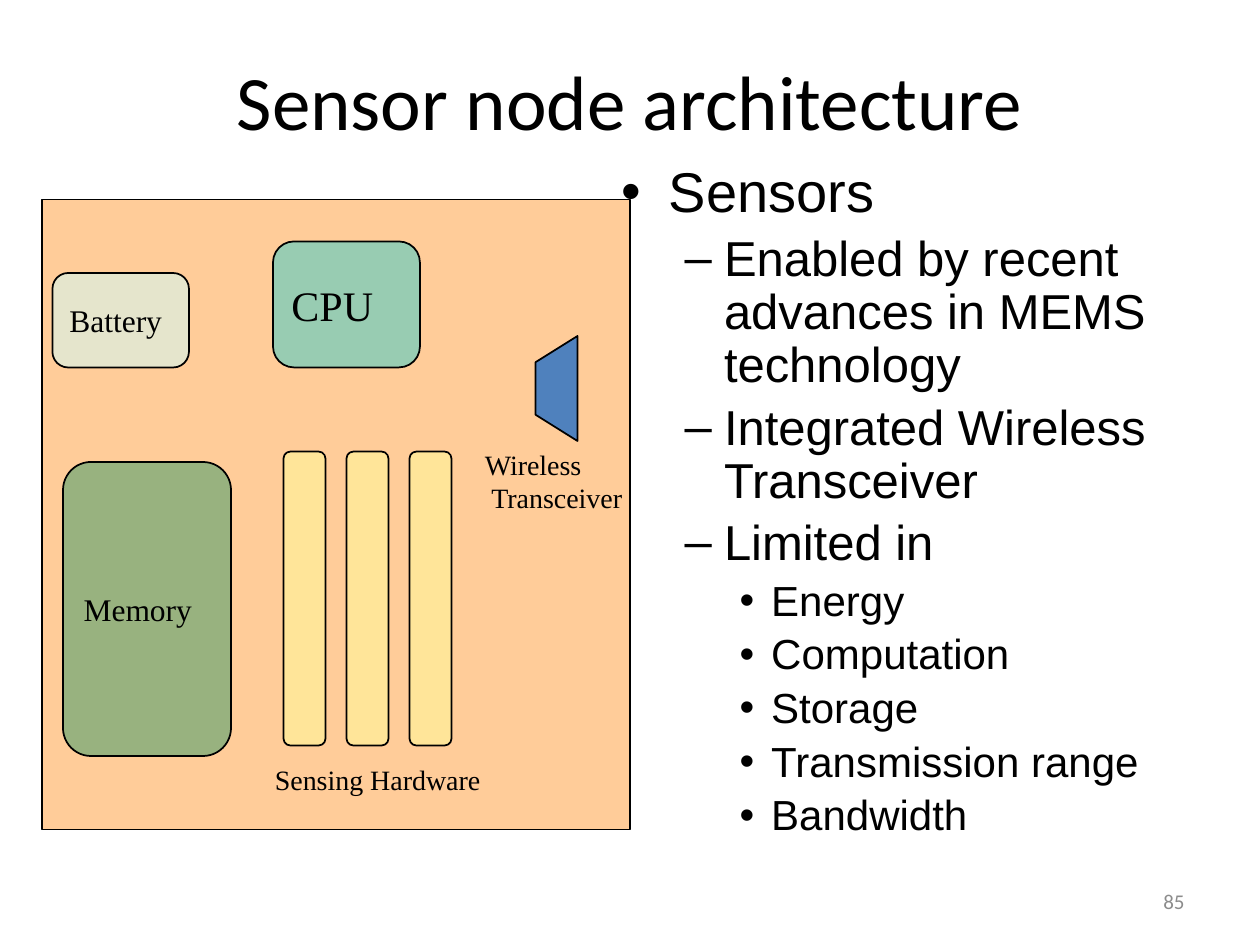
from lxml.etree import SubElement
from pptx import Presentation
from pptx.dml.color import RGBColor
from pptx.enum.shapes import MSO_SHAPE as Preset
from pptx.enum.text import MSO_ANCHOR as Anchor, MSO_AUTO_SIZE as AutoSize, PP_ALIGN as Align
from pptx.oxml.ns import qn
from pptx.util import Pt

COLORS = {
    "text": "000000", "line": "000000", "muted": "8C8C8C",
    "board": "FFCC99", "battery": "CCFFFF", "memory": "339966",
    "cpu": "33CCCC", "sensor": "FFFF99", "transceiver": "4F81BD",
}
# Left margin, hanging indent and text size of each list level, in points
LEVELS = [(27, -27, 32), (58.5, -22.5, 28), (85.5, -18, 24)]
BULLETS = [
    (0, "Sensors"),
    (1, "Enabled by recent advances in MEMS technology"),
    (1, "Integrated Wireless Transceiver"),
    (1, "Limited in"),
    (2, "Energy"),
    (2, "Computation"),
    (2, "Storage"),
    (2, "Transmission range"),
    (2, "Bandwidth"),
]


def rgb(name):
    return RGBColor.from_string(COLORS[name])


def write(paragraph, text, size=16, font="Times New Roman", color="text", align=Align.LEFT):
    paragraph.alignment = align
    run = paragraph.add_run()
    run.text = text
    run.font.size = Pt(size)
    run.font.name = font
    run.font.color.rgb = rgb(color)


class NodeSlide:
    def __init__(self, presentation):
        self.slide = presentation.slides.add_slide(presentation.slide_layouts[1])
        self.shapes = self.slide.shapes

    def place(self, shape, box):
        shape.left, shape.top, shape.width, shape.height = map(Pt, box)

    def title(self, text, box):
        shape = self.shapes.title
        self.place(shape, box)
        shape.text_frame.vertical_anchor = Anchor.MIDDLE
        write(shape.text_frame.paragraphs[0], text, size=44, font="Calibri", align=Align.CENTER)

    def bullets(self, items, box):
        shape = self.slide.placeholders[1]
        self.place(shape, box)
        frame = shape.text_frame
        frame.auto_size = AutoSize.NONE
        for index, (level, text) in enumerate(items):
            paragraph = frame.add_paragraph() if index else frame.paragraphs[0]
            paragraph.level = level
            paragraph.line_spacing = 0.9
            margin, indent, size = LEVELS[level]
            properties = paragraph._p.get_or_add_pPr()
            properties.set("marL", str(Pt(margin)))
            properties.set("indent", str(Pt(indent)))
            write(paragraph, text, size=size, font="Arial")

    def style(self, shape, fill, alpha=100):
        shape.shadow.inherit = False
        shape.fill.solid()
        shape.fill.fore_color.rgb = rgb(fill)
        if alpha < 100:
            color = shape._element.spPr.find(qn("a:solidFill"))[0]
            SubElement(color, qn("a:alpha")).set("val", str(alpha * 1000))
        shape.line.color.rgb = rgb("line")
        shape.line.width = Pt(1)

    def block(self, box, fill, preset=Preset.ROUNDED_RECTANGLE, alpha=50, text="", size=18):
        shape = self.shapes.add_shape(preset, *map(Pt, box))
        self.style(shape, fill, alpha)
        if text:
            shape.text_frame.word_wrap = False
            shape.text_frame.vertical_anchor = Anchor.MIDDLE
            write(shape.text_frame.paragraphs[0], text, size=size)

    def polygon(self, points, fill):
        start, *others = [(Pt(x), Pt(y)) for x, y in points]
        builder = self.shapes.build_freeform(*start)
        builder.add_line_segments(others, close=True)
        self.style(builder.convert_to_shape(), fill)

    def label(self, lines, box, anchor=Anchor.TOP, **text_format):
        frame = self.shapes.add_textbox(*map(Pt, box)).text_frame
        frame.word_wrap = False
        frame.vertical_anchor = anchor
        for index, line in enumerate(lines):
            paragraph = frame.add_paragraph() if index else frame.paragraphs[0]
            write(paragraph, line, **text_format)


def main():
    presentation = Presentation()
    presentation.slide_width, presentation.slide_height = Pt(720), Pt(540)
    node = NodeSlide(presentation)

    node.block((24, 114, 336, 360), "board", preset=Preset.RECTANGLE, alpha=100)
    node.title("Sensor node architecture", (36, 12, 648, 90))
    node.bullets(BULLETS, (348, 90, 360, 432))
    # The board lies behind the title and the list
    tree = node.shapes._spTree
    tree.insert(2, tree[-1])

    node.block((30, 156, 78, 54), "battery", text="Battery")
    node.block((36, 264, 96, 168), "memory", text="Memory")
    node.block((156, 138, 84, 72), "cpu", text="CPU", size=24)
    for index in range(3):
        node.block((162 + 36 * index, 258, 24, 168), "sensor")
    node.polygon([(330, 192), (306, 207), (306, 237), (330, 252)], "transceiver")

    node.label(["Sensing Hardware"], (150, 432, 132.5, 26.6))
    node.label(["Wireless", " Transceiver"], (270, 252, 94.3, 46))
    node.label(["85"], (516, 500.5, 168, 28.8), anchor=Anchor.MIDDLE,
               size=12, font="Calibri", color="muted", align=Align.RIGHT)
    presentation.save("out.pptx")


if __name__ == "__main__":
    main()
